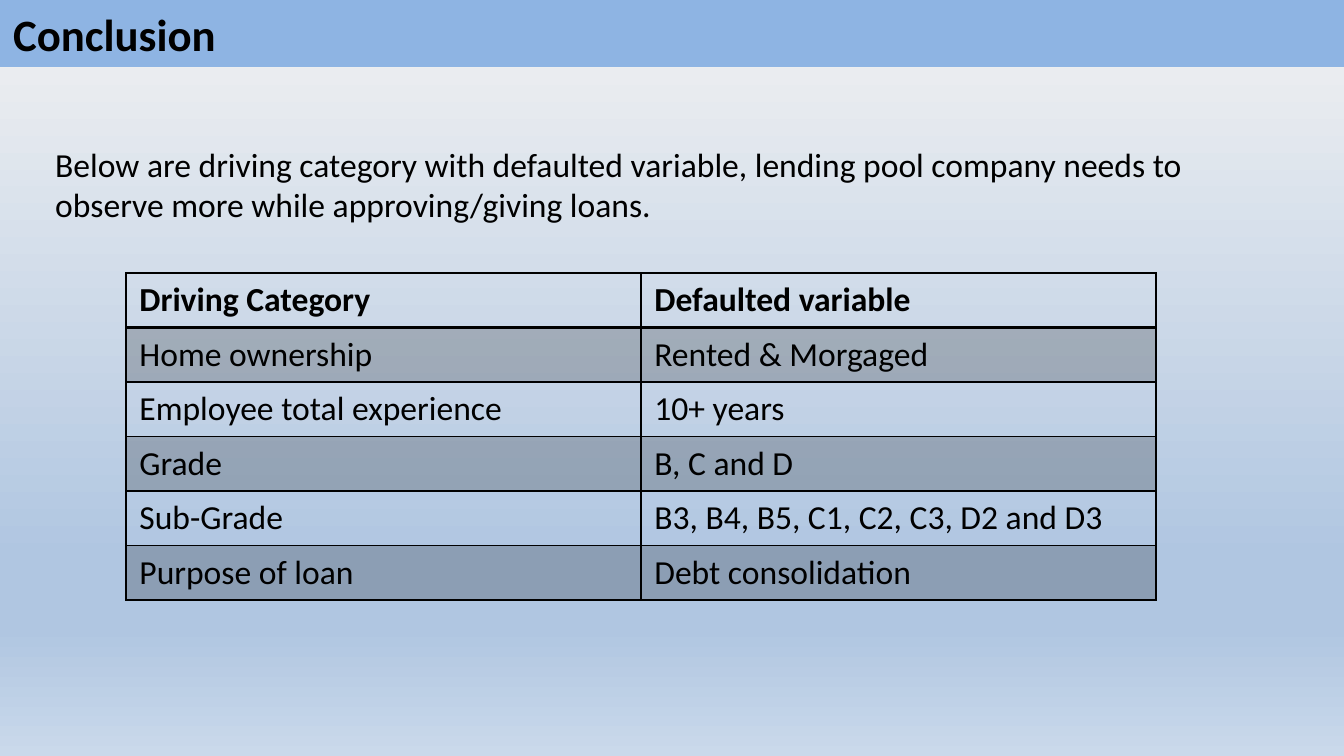
from lxml import etree
from pptx import Presentation
from pptx import util as u
from pptx.dml.color import RGBColor
from pptx.enum import shapes, text
from pptx.oxml import ns

SCALE = 914400 / 134.4
FONT = "Calibri"
BLACK = "000000"
ROWS = [
    ("Driving Category", "Defaulted variable"),
    ("Home ownership", "Rented & Morgaged"),
    ("Employee total experience", "10+ years"),
    ("Grade", "B, C and D"),
    ("Sub-Grade", "B3, B4, B5, C1, C2, C3, D2 and D3"),
    ("Purpose of loan", "Debt consolidation"),
]


def emu(*lengths):
    """Turn px lengths into EMU."""
    return [u.Emu(round(length * SCALE)) for length in lengths]


def color(value):
    """Turn a hex string into a colour."""
    return RGBColor.from_string(value)


def child(parent, tag, **attributes):
    """Append an XML element to its parent."""
    return etree.SubElement(parent, ns.qn(tag), attributes)


def write(frame, words, size, bold=False):
    """Put one left-aligned paragraph in a text frame."""
    frame.word_wrap = True
    para = frame.paragraphs[0]
    para.text = words
    para.alignment = text.PP_ALIGN.LEFT
    para.font.name = FONT
    para.font.size = u.Pt(size)
    para.font.bold = bold
    para.font.color.rgb = color(BLACK)


def paint_background(page, stops, degrees):
    """Fill the page with a linear gradient of several stops."""
    fill = page.background.fill
    fill.gradient()
    gradient = page.background._cSld.find(".//" + ns.qn("a:gradFill"))
    for part in list(gradient):
        gradient.remove(part)
    stop_list = child(gradient, "a:gsLst")
    for percent, value in stops:
        stop = child(stop_list, "a:gs", pos=str(percent * 1000))
        child(stop, "a:srgbClr", val=value)
    child(gradient, "a:lin", ang=str(degrees * 60000), scaled="0")


def add_title_bar(page, box, words):
    """Draw the filled bar with the page title."""
    bar = page.shapes.add_shape(shapes.MSO_SHAPE.RECTANGLE, *emu(*box))
    bar.shadow.inherit = False
    bar.fill.solid()
    bar.fill.fore_color.rgb = color("8EB4E3")
    bar.line.fill.background()
    bar.text_frame.vertical_anchor = text.MSO_ANCHOR.MIDDLE
    write(bar.text_frame, words, 24, bold=True)


def add_intro(page, box, words):
    """Place the introductory sentence."""
    intro = page.shapes.add_textbox(*emu(*box))
    write(intro.text_frame, words, 18)


def style_cell(cell, shaded, widths):
    """Give a cell its translucent shade and black borders."""
    properties = cell._tc.get_or_add_tcPr()
    for side, width in widths.items():
        line = child(properties, f"a:ln{side}", w=str(u.Pt(width)))
        child(child(line, "a:solidFill"), "a:srgbClr", val=BLACK)
    if shaded:
        shade = child(child(properties, "a:solidFill"), "a:srgbClr", val=BLACK)
        child(shade, "a:alpha", val="20000")
    else:
        child(properties, "a:noFill")


def add_category_table(page, box, rows):
    """Build the table with a bold header and shaded alternate rows."""
    frame = page.shapes.add_table(len(rows), len(rows[0]), *emu(*box))
    table = frame.table
    table.first_row = table.horz_banding = False
    for row, values in enumerate(rows):
        widths = {"L": 1, "R": 1, "T": 2 if row == 1 else 1, "B": 2 if row == 0 else 1}
        for column, words in enumerate(values):
            cell = table.cell(row, column)
            write(cell.text_frame, words, 18, bold=row == 0)
            style_cell(cell, row % 2 == 1, widths)


def main():
    """Build the conclusion slide."""
    deck = Presentation()
    deck.slide_width, deck.slide_height = emu(1344, 756)
    page = deck.slides.add_slide(deck.slide_layouts[6])
    stops = [(0, "F2F2F2"), (74, "B0C6E1"), (83, "B0C6E1"), (100, "CAD9EB")]
    paint_background(page, stops, 90)
    add_title_bar(page, (0, 0, 1344, 67), "Conclusion")
    add_category_table(page, (126, 273, 1030, 327), ROWS)
    add_intro(
        page,
        (42, 137, 1218, 95),
        "Below are driving category with defaulted variable, lending pool company "
        "needs to observe more while approving/giving loans.",
    )
    deck.save("out.pptx")


if __name__ == "__main__":
    main()
